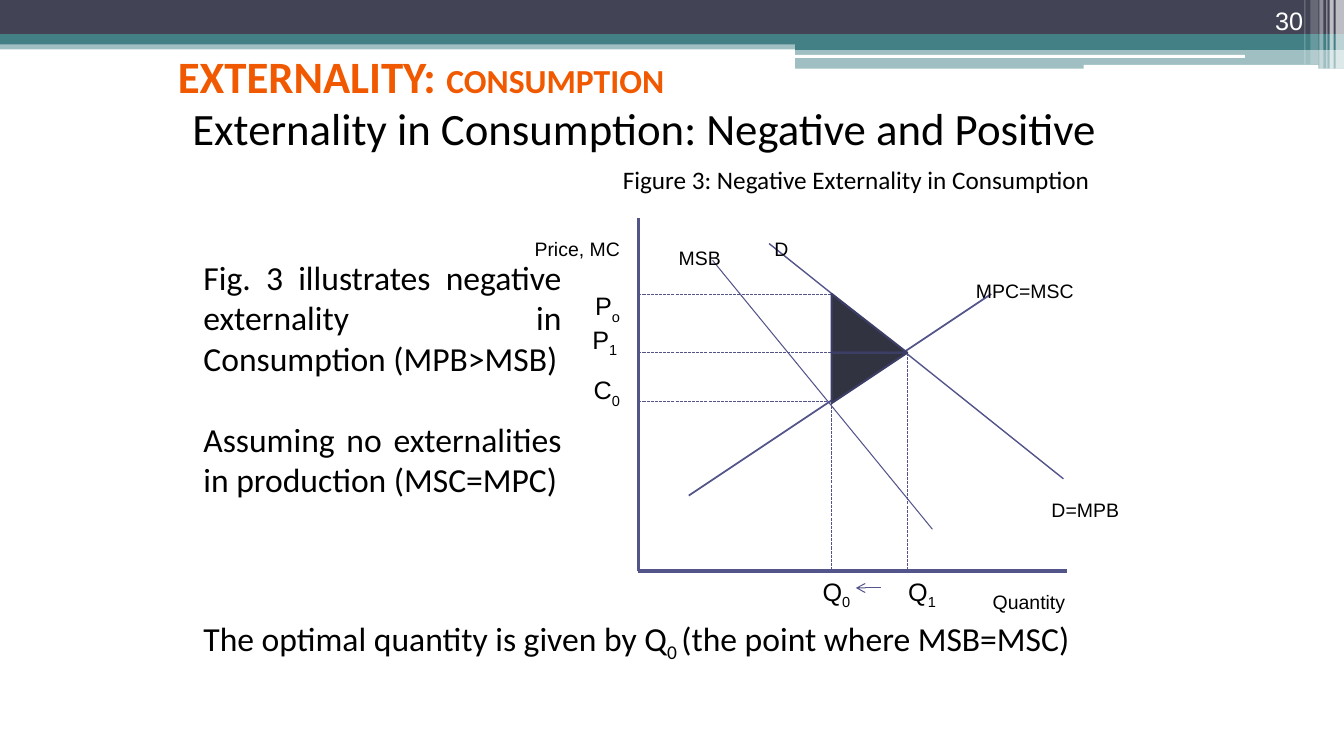
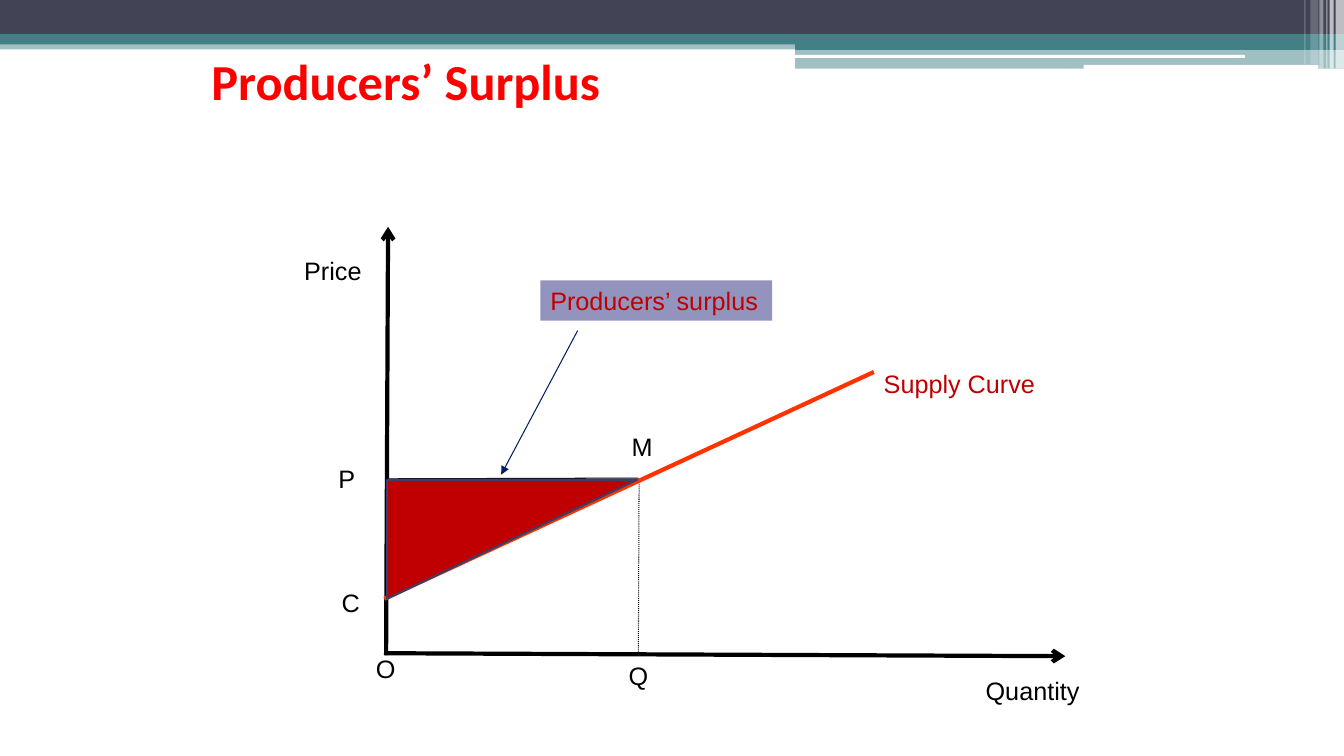
from lxml.etree import SubElement
from pptx import Presentation
from pptx.dml.color import RGBColor
from pptx.enum.dml import MSO_LINE
from pptx.enum.shapes import MSO_CONNECTOR, MSO_SHAPE
from pptx.enum.text import MSO_ANCHOR, PP_ALIGN
from pptx.oxml.ns import qn
from pptx.util import Pt

NAVY = RGBColor(0x42, 0x44, 0x56)
TEAL = RGBColor(0x43, 0x80, 0x86)
WHITE = RGBColor(0xFF, 0xFF, 0xFF)
BLACK = RGBColor(0x00, 0x00, 0x00)
ORANGE = RGBColor(0xF1, 0x59, 0x00)
RED = RGBColor(0xFF, 0x00, 0x00)
CRIMSON = RGBColor(0xC0, 0x00, 0x00)
SCARLET = RGBColor(0xFF, 0x33, 0x00)
INDIGO = RGBColor(0x53, 0x54, 0x8A)
EDGE = RGBColor(0x3D, 0x3E, 0x66)
SLATE = RGBColor(0x32, 0x33, 0x41)
LILAC = RGBColor(0x93, 0x94, 0xBE)
BLUE = RGBColor(0x00, 0x20, 0x60)

HEAD, BODY = "Calibri", "Arial"
LEFT, RIGHT, JUST = PP_ALIGN.LEFT, PP_ALIGN.RIGHT, PP_ALIGN.JUSTIFY

# left, top, width, height, colour, opacity in percent
BANDS = [
    (0, 28.8, 960, 6.5, TEAL, 50),
    (0, 0, 960, 24.5, NAVY, 100),
    (0, 24.5, 960, 7.2, TEAL, 100),
    (568, 28.4, 392, 7.2, TEAL, 100),
    (568, 34.8, 392, 14.2, TEAL, 50),
]
SLOTS = [(567.4, 39.2, 321.8, 2.2), (774, 46.4, 167.8, 2.9)]
# left, width, height, opacity in percent
STRIPES = [
    (954, 6, 49, 65),
    (949.7, 2.9, 49, 65),
    (947.5, 0.7, 49, 60),
    (942.5, 2.9, 49, 40),
    (936, 5.8, 46, 20),
    (931.7, 0.7, 46, 30),
]


class Deck:
    """Holds the style and the current slide; lengths are in points."""

    def __init__(self):
        self.prs = Presentation()
        self.prs.slide_width, self.prs.slide_height = Pt(960), Pt(540)
        self.slide = None

    def start(self):
        """Add a blank slide with the shared bands."""
        self.slide = self.prs.slides.add_slide(self.prs.slide_layouts[6])
        for *box, color, solid in BANDS:
            self.block(box, color, solid)
        for box in SLOTS:
            self.block(box, WHITE, kind=MSO_SHAPE.ROUNDED_RECTANGLE)
        for left, width, height, solid in STRIPES:
            self.block((left, 0, width, height), WHITE, solid)

    def block(self, box, color, solid=100, kind=MSO_SHAPE.RECTANGLE):
        shape = self.slide.shapes.add_shape(kind, *map(Pt, box))
        shape.shadow.inherit = False
        shape.fill.solid()
        shape.fill.fore_color.rgb = color
        shape.line.fill.background()
        if solid < 100:
            tint = shape.fill._xPr.find(qn("a:solidFill"))[0]
            SubElement(tint, qn("a:alpha")).set("val", str(solid * 1000))
        return shape

    def wedge(self, box, color, flip=False):
        """Draw a right triangle, its square corner at the left."""
        shape = self.block(box, color, kind=MSO_SHAPE.RIGHT_TRIANGLE)
        shape.line.color.rgb = EDGE
        shape.line.width = Pt(1.5)
        if flip:
            shape._element.spPr.find(qn("a:xfrm")).set("flipV", "1")

    def line(self, start, end, color=INDIGO, width=0.75, dash=None, tip=None):
        link = self.slide.shapes.add_connector(
            MSO_CONNECTOR.STRAIGHT, *map(Pt, (*start, *end)))
        link.line.color.rgb = color
        link.line.width = Pt(width)
        if dash:
            link.line.dash_style = dash
        props = link._element.spPr
        if tip:
            SubElement(props.find(qn("a:ln")), qn("a:tailEnd")).set("type", tip)
        SubElement(props, qn("a:effectLst"))

    def text(self, box, *lines, font=BODY, size=18, color=BLACK, align=LEFT,
             bold=False, anchor=MSO_ANCHOR.TOP, gap=0):
        """Write paragraphs; underscores enclose lowered text."""
        shape = self.slide.shapes.add_textbox(*map(Pt, box))
        frame = shape.text_frame
        frame.word_wrap = True
        frame.vertical_anchor = anchor
        for num, words in enumerate(lines):
            para = frame.add_paragraph() if num else frame.paragraphs[0]
            para.alignment = align
            if num:
                para.space_before = Pt(gap)
            for pos, part in enumerate(words.split("_")):
                if not part:
                    continue
                run = para.add_run()
                run.text = part
                run.font.name = font
                run.font.size = Pt(size)
                run.font.bold = bold
                run.font.color.rgb = color
                if pos % 2:
                    run._r.get_or_add_rPr().set("baseline", "-25000")
        return shape

    def title(self, box, words, size, color):
        shape = self.text(box, words, font=HEAD, size=size, color=color,
                          bold=True, anchor=MSO_ANCHOR.MIDDLE)
        return shape.text_frame.paragraphs[0]

    def prose(self, box, *lines, size=24):
        self.text(box, *lines, font=HEAD, size=size, align=JUST, gap=29)

    def label(self, left, top, width, words, align=LEFT):
        """Write a small lowered label."""
        self.text((left, top, width, 26.6), f"_{words}", size=24, align=align)


def consumption(deck):
    deck.start()
    deck.text((858, 0, 80, 28.8), "30", color=WHITE, align=RIGHT,
              anchor=MSO_ANCHOR.BOTTOM)
    head = deck.title((120, 30.2, 702, 48.2), "EXTERNALITY: _", 32, ORANGE)
    small = head.add_run()
    small.text = "CONSUMPTION"
    small.font.name, small.font.size, small.font.bold = HEAD, Pt(24), True
    small.font.color.rgb = ORANGE
    deck.prose((130.3, 68.4, 684, 46),
               "Externality in Consumption: Negative and Positive", size=32)
    deck.prose((437.8, 113.8, 366, 29),
               "Figure 3: Negative Externality in Consumption", size=18)
    deck.prose((138.2, 180, 270, 211),
               "Fig. 3 illustrates negative externality in Consumption (MPB>MSB)",
               "Assuming no externalities in production (MSC=MPC)")
    deck.prose((138.2, 437.8, 660, 37),
               "The optimal quantity is given by Q_0 _(the point where MSB=MSC)")

    axis, base, low, high = 456, 408, 594, 648
    top, mid, cost = 210.5, 252, 286.6
    deck.line((axis, 156), (axis, base), width=2.5)
    deck.line((axis, base), (762, base), width=2.5)
    deck.line((492, 354), (708, 210), width=1.25)
    deck.line((509, 186), (666, 378))
    deck.line((549.4, 174), (759.6, 342), width=1)
    for start, end in [((axis, top), (low, top)), ((axis, mid), (high, mid)),
                       ((axis, cost), (low, cost)), ((low, top), (low, base)),
                       ((high, mid), (high, base))]:
        deck.line(start, end, dash=MSO_LINE.SQUARE_DOT)
    deck.wedge((low, 210, 54, 42), SLATE)
    deck.wedge((low, mid, 54, 36), SLATE, flip=True)
    deck.line((629.3, 420), (611.3, 420), tip="arrow")

    for left, spot, words in [(408, 204, "P_o"), (406, 228.2, "P_1"),
                              (408, 264, "C_0"), (572.4, base, "Q_0"),
                              (633.6, base, "Q_1")]:
        deck.text((left, spot, 42, 29), words, align=RIGHT)
    deck.label(690, 402, 78, "Quantity", RIGHT)
    deck.label(336, 150, 114, "Price, MC", RIGHT)
    deck.label(462, 156, 60, "MSB", RIGHT)
    deck.label(690, 180, 114, "MPC=MSC")
    deck.label(744, 336, 78, "D=MPB")
    deck.label(546, 150, 24, "D")


def surplus(deck):
    deck.start()
    deck.title((144, 37.4, 642, 40.3), "Producers’ Surplus", 36, RED)
    deck.line((275.8, 468), (277.2, 162), BLACK, 3, tip="arrow")
    deck.line((274.5, 466.6), (761, 468.7), BLACK, 3, tip="arrow")
    deck.line((456, 341.5), (275.8, 342), BLACK)
    deck.line((456.5, 341.5), (456, 466.6), BLACK, dash=MSO_LINE.ROUND_DOT)
    deck.block((386, 200.2, 165.6, 28.8), LILAC)
    deck.line((412.6, 236.2), (358, 339), BLUE, tip="triangle")
    deck.line((274.5, 427.7), (624.2, 265.7), SCARLET, 3)
    deck.wedge((276.5, 342.7, 178.6, 85), CRIMSON, flip=True)
    for left, top, width, words, color in [
            (386, 200.2, 165.6, "Producers’ surplus", CRIMSON),
            (624.2, 259.2, 194, "Supply Curve", CRIMSON),
            (697, 478.8, 202, "Quantity", BLACK),
            (210.2, 178.6, 132, "Price", BLACK),
            (442, 468, 36, "Q", BLACK),
            (234.7, 327.6, 36, "P", BLACK),
            (444.2, 304.6, 36, "M", BLACK),
            (261.4, 463, 36, "O", BLACK),
            (236.9, 416.2, 36, "C", BLACK)]:
        deck.text((left, top, width, 28.8), words, color=color)


def main():
    deck = Deck()
    consumption(deck)
    surplus(deck)
    deck.prs.save("out.pptx")


if __name__ == "__main__":
    main()
